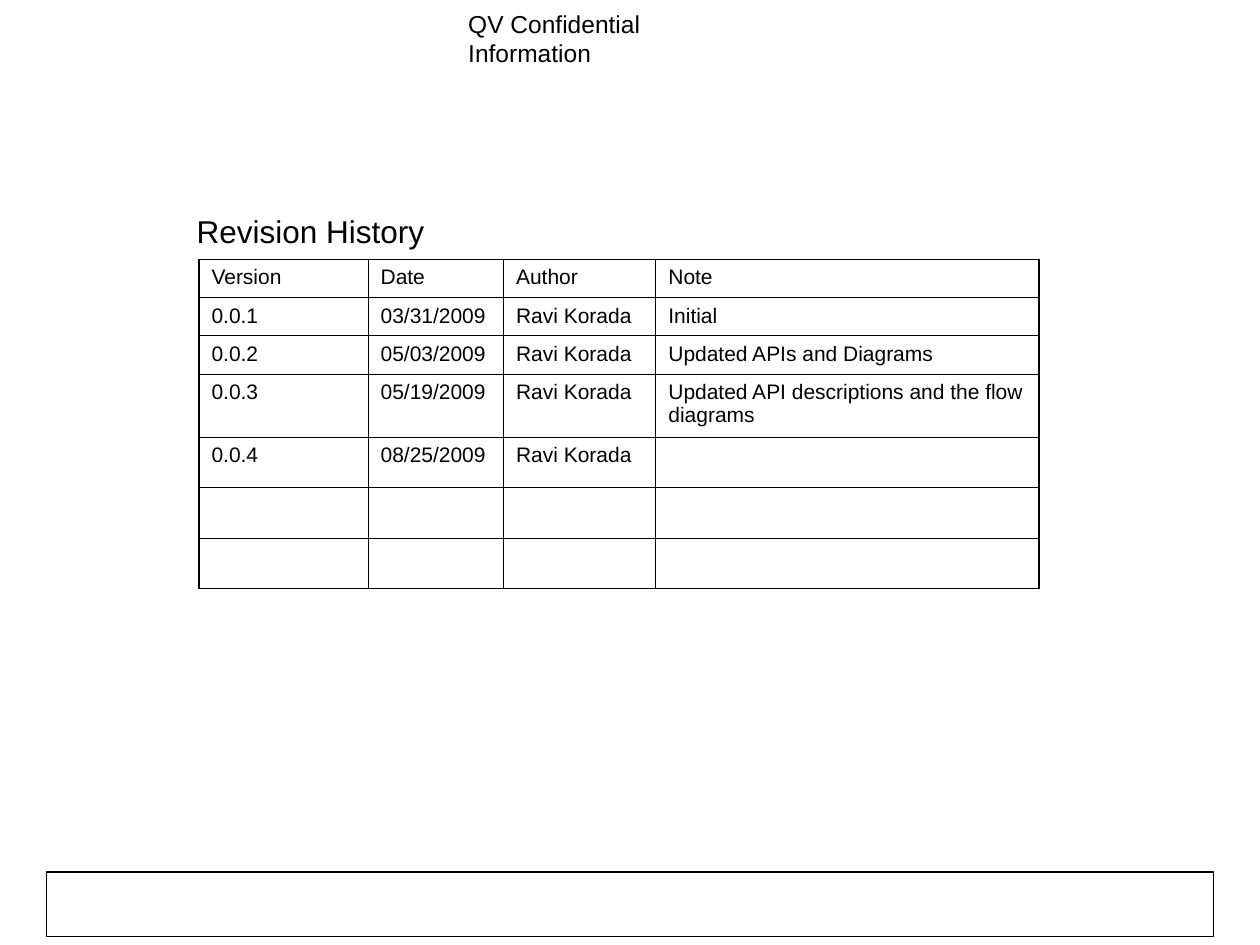
from lxml.etree import SubElement
from pptx import Presentation
from pptx.dml.color import RGBColor
from pptx.enum.shapes import MSO_SHAPE
from pptx.enum.text import MSO_ANCHOR, MSO_AUTO_SIZE
from pptx.oxml.ns import qn
from pptx.util import Cm, Pt

HEADER = "QV Confidential Information"
HEADING = "Revision History"
AUTHOR = "Ravi Korada"
REVISIONS = [
    ("Version", "Date", "Author", "Note"),
    ("0.0.1", "03/31/2009", AUTHOR, "Initial"),
    ("0.0.2", "05/03/2009", AUTHOR, "Updated APIs and Diagrams"),
    ("0.0.3", "05/19/2009", AUTHOR, "Updated API descriptions and the flow diagrams"),
    ("0.0.4", "08/25/2009", AUTHOR, ""),
    ("", "", "", ""),
    ("", "", "", ""),
]
COLUMN_WIDTHS = [3.41, 2.73, 3.07, 7.73]
ROW_HEIGHT = 0.77
TALL_ROW, TALL_HEIGHT = 3, 1.27
FONT = "Arial"
BLACK = RGBColor(0, 0, 0)
THIN, THICK = Pt(0.45), Pt(1.08)


def add_text(paragraph, text, size):
    run = paragraph.add_run()
    run.text = text
    run.font.name = FONT
    run.font.size = Pt(size)
    run.font.color.rgb = BLACK


def set_empty_font(paragraph, size):
    end = SubElement(paragraph._p, qn("a:endParaRPr"), sz=str(size * 100))
    SubElement(end, qn("a:latin"), typeface=FONT)


def set_borders(cell, outer_sides):
    properties = cell._tc.get_or_add_tcPr()
    for side in "LRTB":
        width = THICK if side in outer_sides else THIN
        line = SubElement(properties, qn(f"a:ln{side}"), w=str(width))
        fill = SubElement(line, qn("a:solidFill"))
        SubElement(fill, qn("a:srgbClr"), val=str(BLACK))


def add_footer_frame(slide):
    frame = slide.shapes.add_shape(
        MSO_SHAPE.RECTANGLE, Cm(0.94), Cm(17.58), Cm(23.52), Cm(1.3))
    frame.shadow.inherit = False
    frame.fill.background()
    frame.line.color.rgb = BLACK
    frame.line.width = Pt(0.75)


def add_header(slide):
    header = slide.shapes.add_textbox(Cm(9.19), Cm(0.05), Cm(6.3), Cm(0.86))
    header.text_frame.word_wrap = False
    header.text_frame.auto_size = MSO_AUTO_SIZE.SHAPE_TO_FIT_TEXT
    add_text(header.text_frame.paragraphs[0], HEADER, 14)


def fill_heading(body):
    body.left, body.top, body.width, body.height = Cm(3.71), Cm(4.24), Cm(17.32), Cm(0.99)
    frame = body.text_frame
    frame.auto_size = MSO_AUTO_SIZE.NONE
    frame.vertical_anchor = MSO_ANCHOR.TOP
    paragraph = frame.paragraphs[0]
    properties = paragraph._p.get_or_add_pPr()
    properties.set("marL", str(Cm(0.95)))
    properties.set("indent", str(-Cm(0.95)))
    SubElement(properties, qn("a:buNone"))
    paragraph.line_spacing = 0.9
    paragraph.space_before = Pt(0)
    add_text(paragraph, HEADING, 18)


def add_revision_table(slide):
    row_count, column_count = len(REVISIONS), len(COLUMN_WIDTHS)
    heights = [TALL_HEIGHT if row == TALL_ROW else ROW_HEIGHT for row in range(row_count)]
    table = slide.shapes.add_table(
        row_count, column_count, Cm(4.01), Cm(5.23),
        Cm(sum(COLUMN_WIDTHS)), Cm(sum(heights))).table
    table.first_row = table.horz_banding = False
    for column, width in zip(table.columns, COLUMN_WIDTHS):
        column.width = Cm(width)
    for row, height in zip(table.rows, heights):
        row.height = Cm(height)
    for row, values in enumerate(REVISIONS):
        for column, text in enumerate(values):
            cell = table.cell(row, column)
            edges = {"L": column == 0, "R": column == column_count - 1,
                     "T": row == 0, "B": row == row_count - 1}
            set_borders(cell, [side for side, outer in edges.items() if outer])
            cell.fill.background()
            paragraph = cell.text_frame.paragraphs[0]
            if text:
                add_text(paragraph, text, 12)
            else:
                set_empty_font(paragraph, 18)


def main():
    presentation = Presentation()
    presentation.slide_width, presentation.slide_height = Cm(25.4), Cm(19.05)
    slide = presentation.slides.add_slide(presentation.slide_layouts[1])
    title, body = slide.placeholders
    title.element.getparent().remove(title.element)
    add_footer_frame(slide)
    add_header(slide)
    fill_heading(body)
    add_revision_table(slide)
    presentation.save("out.pptx")


if __name__ == "__main__":
    main()
